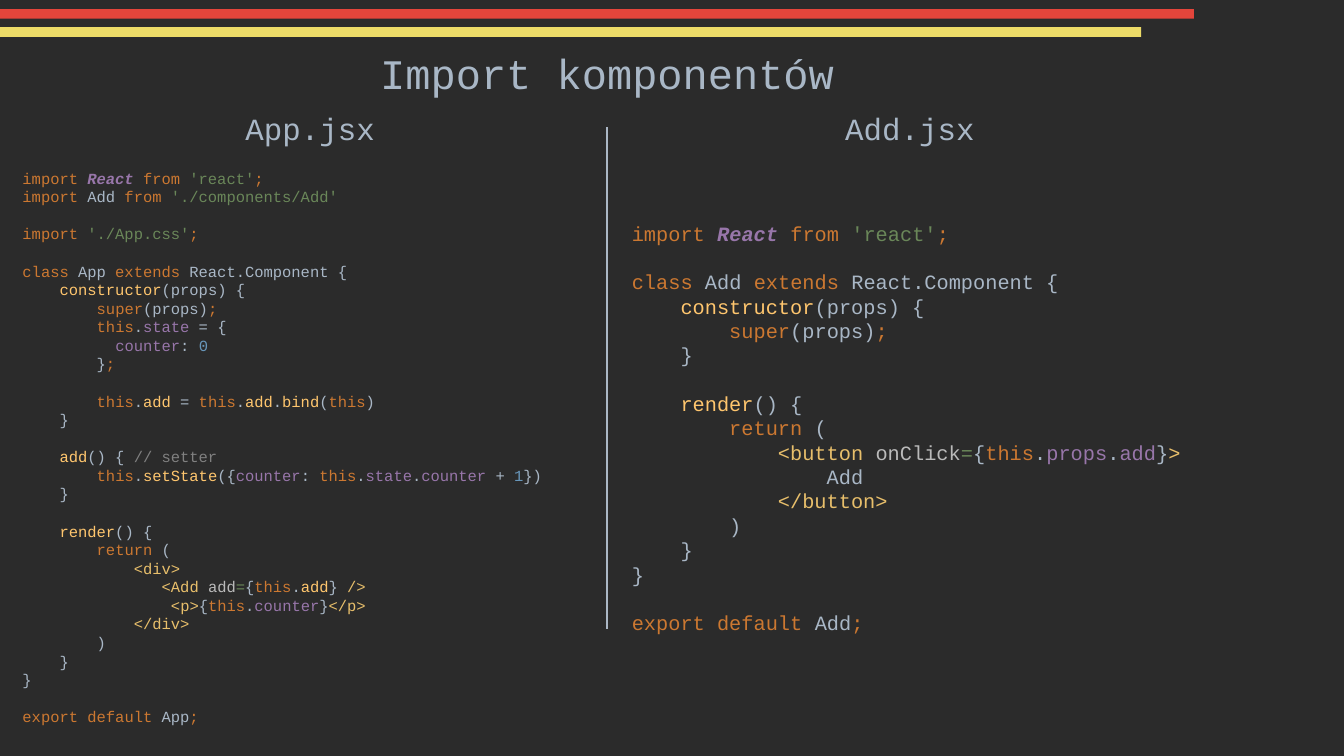
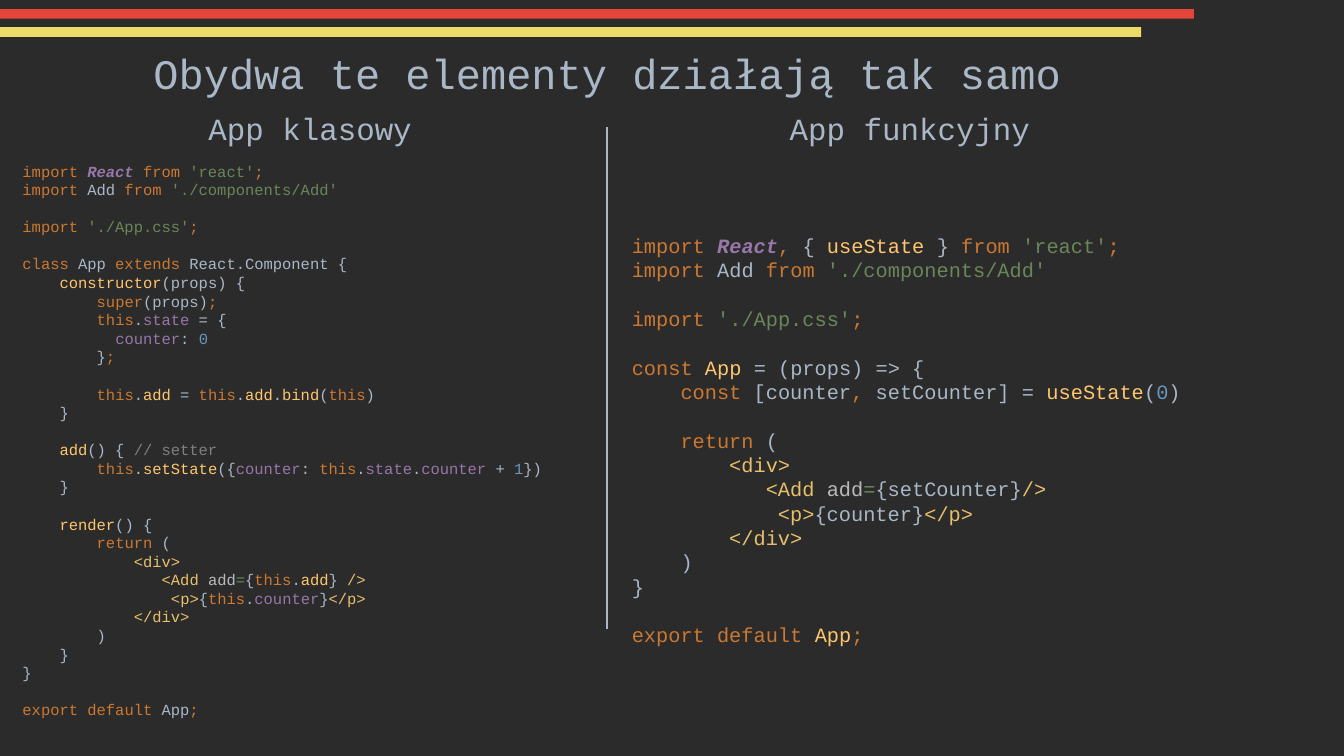
from lxml.etree import SubElement
from pptx import Presentation
from pptx.dml.color import RGBColor
from pptx.enum.shapes import MSO_CONNECTOR, MSO_SHAPE
from pptx.enum.text import MSO_ANCHOR, MSO_AUTO_SIZE, PP_ALIGN
from pptx.oxml.ns import qn
from pptx.util import Pt

# Colours and font
BACKGROUND = RGBColor(0x2B, 0x2B, 0x2B)
RED = RGBColor(0xE3, 0x45, 0x3B)
YELLOW = RGBColor(0xEC, 0xDB, 0x68)
DIVIDER = RGBColor(0xAB, 0xB7, 0xC5)
TEXT = RGBColor(0xA9, 0xB7, 0xC6)
KEYWORD = RGBColor(0xCC, 0x78, 0x31)
PURPLE = RGBColor(0x98, 0x76, 0xAA)
STRING = RGBColor(0x6A, 0x87, 0x59)
FUNCTION = RGBColor(0xFF, 0xC6, 0x6E)
NUMBER = RGBColor(0x68, 0x97, 0xBB)
TAG = RGBColor(0xE8, 0xBF, 0x6B)
ATTRIBUTE = RGBColor(0xBA, 0xBA, 0xBA)
COMMENT = RGBColor(0x80, 0x80, 0x80)
FONT = "Courier New"

# Syntax styles: each piece of code is "letter:text", pieces are split by "|"
SYNTAX = {
    "t": {"color": TEXT},
    "k": {"color": KEYWORD},
    "r": {"color": PURPLE, "bold": True, "italic": True},
    "p": {"color": PURPLE},
    "s": {"color": STRING},
    "f": {"color": FUNCTION},
    "n": {"color": NUMBER},
    "g": {"color": TAG},
    "a": {"color": ATTRIBUTE},
    "c": {"color": COMMENT},
}

# Code listings; an empty line becomes spacing, leading spaces an indent
IMPORT_REACT = "k:import |r:React |k:from |s:'react'|k:;"
IMPORT_PARTS = [
    "k:import |t:Add |k:from |s:'./components/Add'",
    "",
    "k:import |s:'./App.css'|k:;",
    "",
]
CONSTRUCTOR = [
    "    f:constructor|t:(props) {",
    "        k:super|t:(props)|k:;",
]
RENDER = [
    "    t:}",
    "",
    "    f:render|t:() {",
    "        k:return |t:(",
]
RENDER_END = ["        t:)", "    t:}", "t:}", ""]

CLASS_APP = [
    IMPORT_REACT,
    *IMPORT_PARTS,
    "k:class |t:App |k:extends |t:React.Component {",
    *CONSTRUCTOR,
    "        k:this|t:.|p:state |t:= {",
    "          p:counter|t:: |n:0",
    "        t:}|k:;",
    "",
    "        k:this|t:.|f:add |t:= |k:this|t:.|f:add|t:.|f:bind|t:(|k:this|t:)",
    "    t:}",
    "",
    "    f:add|t:() { |c:// setter",
    "        k:this|t:.|f:setState|t:({|p:counter|t:: |k:this|t:.|p:state|t:.|"
    "p:counter |t:+ |n:1|t:})",
    *RENDER,
    "            g:<div>",
    "               g:<Add |a:add|s:=|t:{|k:this|t:.|f:add|t:} |g:/>",
    "                g:<p>|t:{|k:this|t:.|p:counter|t:}|g:</p>",
    "            g:</div>",
    *RENDER_END,
    "k:export default |t:App|k:;",
]
CLASS_ADD = [
    IMPORT_REACT,
    "",
    "k:class |t:Add |k:extends |t:React.Component {",
    *CONSTRUCTOR,
    *RENDER,
    "            g:<button |a:onClick|s:=|t:{|k:this|t:.|p:props|t:.|p:add|t:}|g:>",
    "                t:Add",
    "            g:</button>",
    *RENDER_END,
    "k:export default |t:Add|k:;",
    "",
]
FUNCTION_APP = [
    "k:import |r:React|k:, |t:{ |f:useState |t:} |k:from |s:'react'|k:;",
    *IMPORT_PARTS,
    "k:const |f:App |t:= (props) => {",
    "    k:const |t:[counter|k:, |t:setCounter] = |f:useState|t:(|n:0|t:)",
    "",
    "    k:return |t:(",
    "        g:<div>",
    "           g:<Add |a:add|s:=|t:{setCounter}|g:/>",
    "            g:<p>|t:{counter}|g:</p>",
    "        g:</div>",
    "    t:)",
    "t:}",
    "",
    "k:export default |f:App|k:;",
]

SLIDES = [
    {"title": "Import komponentów",
     "headings": ("App.jsx", "Add.jsx"),
     "code": (CLASS_APP, CLASS_ADD), "left_code_top": 211.68},
    {"title": "Obydwa te elementy działają tak samo",
     "headings": ("App klasowy", "App funkcyjny"),
     "code": (CLASS_APP, FUNCTION_APP), "left_code_top": 201.6},
]

# Layout, in points: left, top, width, height
BANDS = [
    (YELLOW, (-11.52, 38.88, 1641.6, 13.68)),
    (RED, (-86.4, 12.96, 1792.08, 13.68)),
]
DIVIDER_X, DIVIDER_TOP, DIVIDER_BOTTOM = 866.88, 181.44, 898.56
TITLE_AREA = (53.28, 12.24, 1627.92, 183.6)
HEADING_LEFTS, HEADING_TOP, HEADING_SIZE = (203.04, 1059.84), 148.32, (480.24, 69.12)
CODE_LEFTS, CODE_TOP, CODE_WIDTH = (28.08, 898.56), 211.68, 807.84
CODE_HEIGHTS = (854.64, 833.76)
CODE_POINTS = (22.1, 29)
LINE_RATIO, LETTER_RATIO = 1.2, 0.6
INSET = 4


def place(holder, area):
    """Move a placeholder and give its frame the shared format."""
    for side, length in zip(("left", "top", "width", "height"), area):
        setattr(holder, side, Pt(length))
    frame = holder.text_frame
    margins = {f"margin_{side}": Pt(INSET) for side in ("left", "right", "top", "bottom")}
    frame_format = {"word_wrap": True, "auto_size": MSO_AUTO_SIZE.NONE,
                    "vertical_anchor": MSO_ANCHOR.MIDDLE, **margins}
    for name, value in frame_format.items():
        setattr(frame, name, value)
    return frame


def add_run(paragraph, text, points, color, bold=False, italic=False):
    run = paragraph.add_run()
    run.text = text
    font_format = {"name": FONT, "size": Pt(points), "bold": bold, "italic": italic}
    for name, value in font_format.items():
        setattr(run.font, name, value)
    run.font.color.rgb = color


def write_heading(holder, area, text, points):
    paragraph = place(holder, area).paragraphs[0]
    paragraph.alignment = PP_ALIGN.CENTER
    paragraph.space_before = Pt(0)
    add_run(paragraph, text, points, TEXT)


def write_code(holder, area, lines, points):
    frame = place(holder, area)
    line_height = points * LINE_RATIO
    gap, paragraph = 0, None
    for line in lines:
        if not line:
            gap += line_height
            continue
        paragraph = frame.add_paragraph() if paragraph else frame.paragraphs[0]
        paragraph_format = {"alignment": PP_ALIGN.LEFT, "line_spacing": Pt(line_height),
                            "space_before": Pt(gap), "space_after": Pt(0)}
        for name, value in paragraph_format.items():
            setattr(paragraph, name, value)
        code = line.lstrip()
        columns = len(line) - len(code)
        properties = paragraph._p.get_or_add_pPr()
        properties.set("marL", str(Pt(columns * points * LETTER_RATIO)))
        properties.set("indent", "0")
        SubElement(properties, qn("a:buNone"))
        for piece in code.split("|"):
            style, _, text = piece.partition(":")
            add_run(paragraph, text, points, **SYNTAX[style])
        gap = 0
    # Space left under the last line
    frame.margin_bottom = Pt(INSET + gap)


def add_decoration(slide):
    """Background, colour bands and the line between the columns."""
    slide.background.fill.solid()
    slide.background.fill.fore_color.rgb = BACKGROUND
    for color, area in BANDS:
        band = slide.shapes.add_shape(MSO_SHAPE.RECTANGLE, *map(Pt, area))
        band.shadow.inherit = False
        band.fill.solid()
        band.fill.fore_color.rgb = color
        band.line.fill.background()
    divider = slide.shapes.add_connector(
        MSO_CONNECTOR.STRAIGHT,
        *map(Pt, (DIVIDER_X, DIVIDER_BOTTOM, DIVIDER_X, DIVIDER_TOP)))
    divider.line.color.rgb = DIVIDER
    divider.line.width = Pt(2)
    SubElement(divider._element.spPr, qn("a:effectLst"))


# Build the slides on the comparison layout
deck = Presentation()
deck.slide_width, deck.slide_height = Pt(1920), Pt(1080)
comparison = deck.slide_layouts.get_by_name("Comparison")

for content in SLIDES:
    slide = deck.slides.add_slide(comparison)
    add_decoration(slide)
    title, *columns = slide.placeholders
    write_heading(title, TITLE_AREA, content["title"], 60)
    code_tops = (content["left_code_top"], CODE_TOP)
    for side in range(2):
        heading, listing = columns[2 * side:2 * side + 2]
        write_heading(heading, (HEADING_LEFTS[side], HEADING_TOP, *HEADING_SIZE),
                      content["headings"][side], 44)
        write_code(listing,
                   (CODE_LEFTS[side], code_tops[side], CODE_WIDTH, CODE_HEIGHTS[side]),
                   content["code"][side], CODE_POINTS[side])

deck.save("out.pptx")
